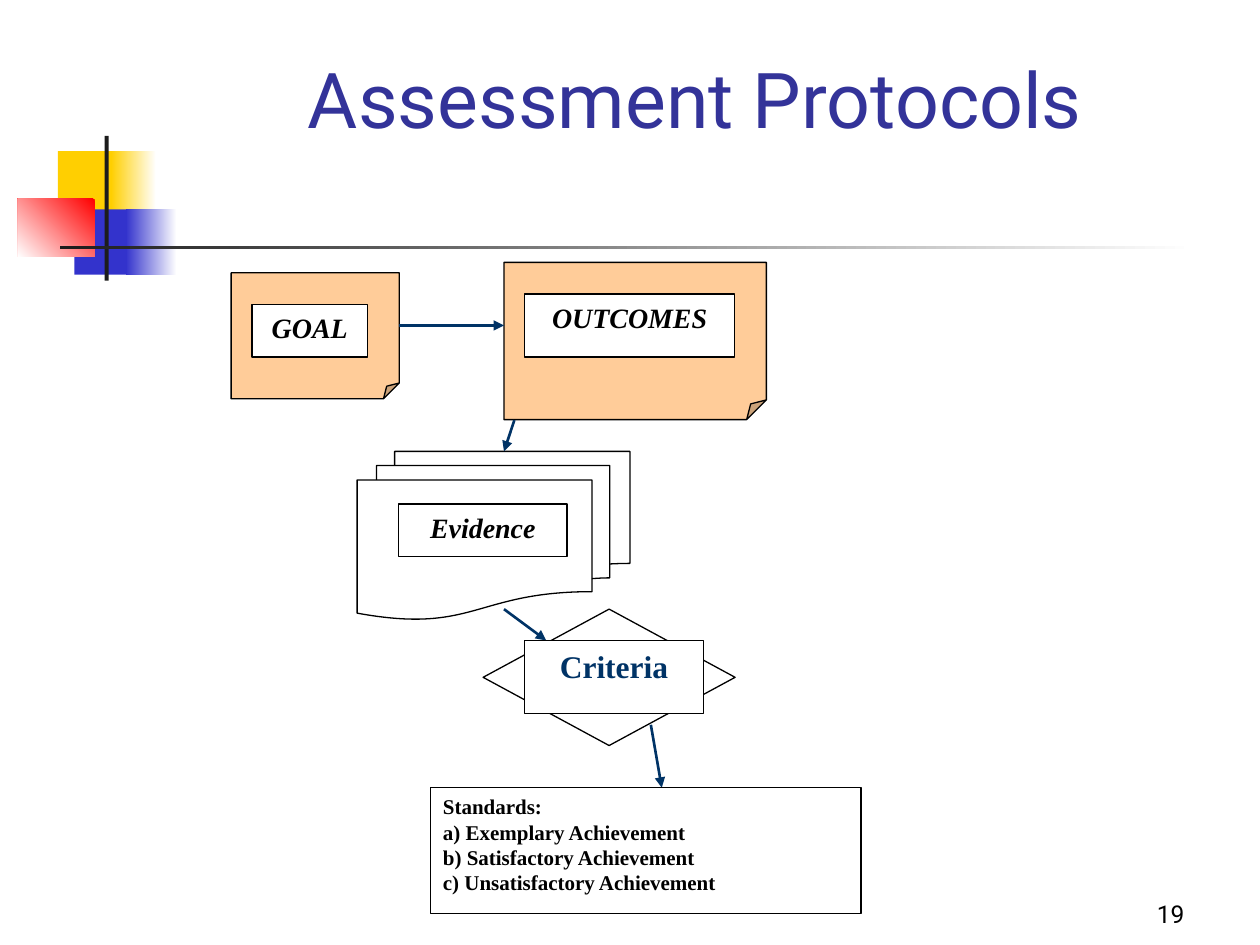
from lxml import etree
from pptx import Presentation
from pptx import util as u
from pptx.dml.color import RGBColor
from pptx.enum import shapes, text
from pptx.oxml.ns import qn

THEME = {
    "heading_font": "Roboto", "label_font": "Times New Roman",
    "title": "333399", "ink": "000000", "accent": "003366",
    "note": "FFCC99", "paper": "FFFFFF",
    "yellow": "FFCF01", "blue": "3333CC", "red": "FF0000", "bar": "1C1C1C",
    "title_size": 44, "criteria_size": 18, "label_size": 16,
    "number_size": 14, "standards_size": 12,
    "outline": 0.75, "arrow": 1.5,
}
CELL = 2.54 / 12
KIND = shapes.MSO_SHAPE
ALIGN = text.PP_ALIGN

TITLE = "Assessment Protocols"
TITLE_BOX = (15.1, 8, 102.2, 15)
NUMBER = "19"
NUMBER_BOX = (89, 83, 25, 6)
STANDARDS = [
    "Standards:",
    "a) Exemplary Achievement",
    "b) Satisfactory Achievement",
    "c) Unsatisfactory Achievement",
]

DECORATION = [
    ((1.17, 3.05, 1.22, 1.32), "yellow", None, 0),
    ((2.24, 3.05, 0.91, 1.32), "paper", "yellow", 180),
    ((1.5, 4.22, 1.17, 1.32), "blue", None, 0),
    ((2.54, 4.22, 1.02, 1.32), "paper", "blue", 180),
    ((0.36, 4.01, 1.55, 1.17), "red", "paper", 225),
    ((2.11, 2.74, 0.08, 2.92), "bar", None, 0),
    ((1.22, 4.95, 22.86, 0.08), "paper", "bar", 180),
]
BACK_SHAPES = [
    (KIND.FOLDED_CORNER, (22, 26, 16, 12), "note"),
    (KIND.FOLDED_CORNER, (48, 25, 25, 15), "note"),
    (KIND.FLOWCHART_MULTIDOCUMENT, (34, 43, 26, 16), "paper"),
]
LABELS = [
    ("GOAL", (24, 29, 11, 5)),
    ("OUTCOMES", (50, 28, 20, 6)),
    ("Evidence", (38, 48, 16, 5)),
]
ARROWS = [
    (48, 58, 52, 61),
    (62, 69, 63, 75),
    (49, 40, 48, 43),
    (38, 31, 48, 31),
]
DIAMOND_BOX = (46, 58, 24, 13)
CRITERIA_BOX = (50, 61, 17, 7)
STANDARDS_BOX = (41, 75, 41, 12)


def color(name):
    return RGBColor.from_string(THEME[name])


def grid(values):
    return [u.Cm(round(value * CELL, 2)) for value in values]


def write(shape, lines, size, ink="ink", font="label_font", align=ALIGN.CENTER,
          anchor=text.MSO_ANCHOR.TOP, bold=False, italic=False):
    frame = shape.text_frame
    frame.word_wrap = True
    frame.auto_size = text.MSO_AUTO_SIZE.NONE
    frame.vertical_anchor = anchor
    for index, line in enumerate(lines):
        paragraph = frame.add_paragraph() if index else frame.paragraphs[0]
        paragraph.alignment = align
        run = paragraph.add_run()
        run.text = line
        run.font.name = THEME[font]
        run.font.size = u.Pt(THEME[size])
        run.font.bold = bold
        run.font.italic = italic
        run.font.color.rgb = color(ink)


def add_block(slide, kind, box, fill):
    shape = slide.shapes.add_shape(kind, *grid(box))
    shape.shadow.inherit = False
    shape.fill.solid()
    shape.fill.fore_color.rgb = color(fill)
    shape.line.color.rgb = color("ink")
    shape.line.width = u.Pt(THEME["outline"])
    if kind == KIND.FOLDED_CORNER:
        adjustments = shape._element.spPr.find(qn("a:prstGeom")).find(qn("a:avLst"))
        etree.SubElement(adjustments, qn("a:gd"), name="adj", fmla="val 12500")
    return shape


def add_decoration(slide, box, start, end, angle):
    shape = slide.shapes.add_shape(KIND.RECTANGLE, *map(u.Cm, box))
    shape.shadow.inherit = False
    shape.line.fill.background()
    if end is None:
        shape.fill.solid()
        shape.fill.fore_color.rgb = color(start)
        return
    shape.fill.gradient()
    shape.fill.gradient_angle = angle
    for stop, name in zip(shape.fill.gradient_stops, (start, end)):
        stop.color.rgb = color(name)


def add_arrow(slide, ends):
    arrow = slide.shapes.add_connector(shapes.MSO_CONNECTOR.STRAIGHT, *grid(ends))
    arrow.line.color.rgb = color("accent")
    arrow.line.width = u.Pt(THEME["arrow"])
    etree.SubElement(arrow.line._get_or_add_ln(), qn("a:tailEnd"), type="triangle")
    etree.SubElement(arrow._element.spPr, qn("a:effectLst"))


def main():
    presentation = Presentation()
    presentation.slide_width, presentation.slide_height = u.Cm(25.4), u.Cm(19.05)
    slide = presentation.slides.add_slide(presentation.slide_layouts[5])

    for item in DECORATION:
        add_decoration(slide, *item)

    title = slide.shapes.title
    title.left, title.top, title.width, title.height = grid(TITLE_BOX)
    write(title, [TITLE], "title_size", "title", "heading_font",
          anchor=text.MSO_ANCHOR.BOTTOM)
    title.text_frame.margin_bottom = u.Cm(1.95)

    for item in BACK_SHAPES:
        add_block(slide, *item)
    for label, box in LABELS:
        write(add_block(slide, KIND.RECTANGLE, box, "paper"), [label],
              "label_size", bold=True, italic=True)
    for ends in ARROWS:
        add_arrow(slide, ends)

    add_block(slide, KIND.DIAMOND, DIAMOND_BOX, "paper")
    criteria = add_block(slide, KIND.RECTANGLE, CRITERIA_BOX, "paper")
    write(criteria, ["Criteria"], "criteria_size", "accent", bold=True)
    standards = add_block(slide, KIND.RECTANGLE, STANDARDS_BOX, "paper")
    write(standards, STANDARDS, "standards_size", align=ALIGN.LEFT, bold=True)

    number = slide.shapes.add_textbox(*grid(NUMBER_BOX))
    write(number, [NUMBER], "number_size", font="heading_font",
          align=ALIGN.RIGHT, anchor=text.MSO_ANCHOR.BOTTOM)

    presentation.save("out.pptx")


if __name__ == "__main__":
    main()
